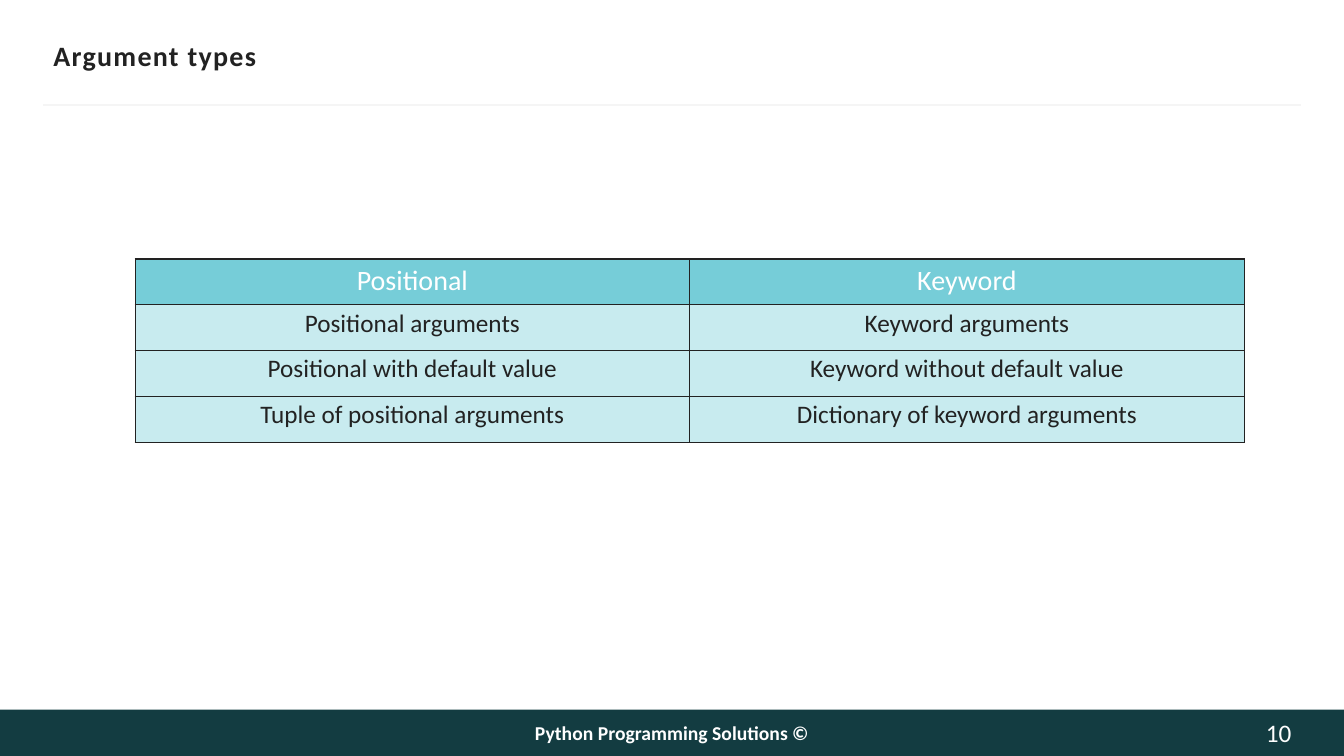
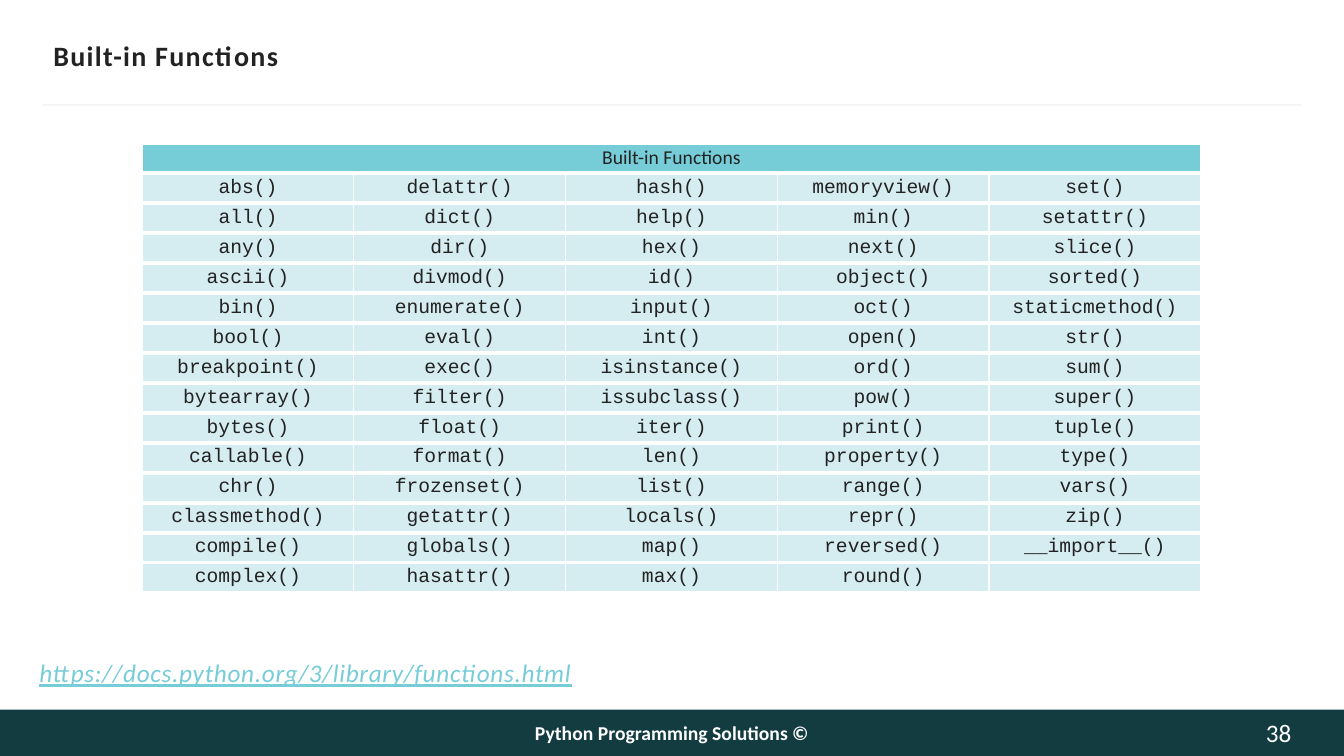
from dataclasses import dataclass
from itertools import zip_longest

from lxml import etree
from pptx import Presentation
from pptx import util as u
from pptx.dml import color
from pptx.enum import shapes, text
from pptx.oxml import ns

COLORS = {
    "ink": "222222",
    "white": "FFFFFF",
    "number": "FEFEFE",
    "band": "133C41",
    "rule": "F5F5F5",
    "accent": "76CDD8",
    "argument": "C8EBEF",
    "function": "D5ECF0",
}
FOOTER = "Python Programming Solutions ©"
BAND_TOP, BAND_HEIGHT = 7.04, 0.46
SLIDE_WIDTH = 13.33


@dataclass(frozen=True)
class Box:
    left: float
    top: float
    width: float
    height: float

    def lengths(self) -> tuple:
        return tuple(map(u.Inches, (self.left, self.top, self.width, self.height)))


@dataclass(frozen=True)
class TextStyle:
    size: float
    color: str = "ink"
    font: str = "Calibri"
    bold: bool = False
    italic: bool = False
    underline: bool = False
    spacing: float = 0
    align: text.PP_ALIGN = text.PP_ALIGN.LEFT
    line_spacing: float = 1.0


@dataclass(frozen=True)
class TableStyle:
    header: TextStyle
    body: TextStyle
    body_fill: str
    border_color: str
    side_width: float
    edge_width: float
    margins: tuple[float, float]
    anchor: text.MSO_ANCHOR


CENTER = text.PP_ALIGN.CENTER
TITLE = TextStyle(20, bold=True, spacing=0.9)
FOOTER_TEXT = TextStyle(14, "white", bold=True, align=CENTER)
NUMBER_TEXT = TextStyle(18, "number", align=text.PP_ALIGN.RIGHT)
LINK_TEXT = TextStyle(18, "accent", italic=True, underline=True, spacing=0.5)

ARGUMENT_TABLE = TableStyle(
    TextStyle(20, "white", align=CENTER),
    TextStyle(18, align=CENTER, line_spacing=0.9),
    "argument", "ink", 1, 1, (0.1, 0.05), text.MSO_ANCHOR.TOP,
)
FUNCTION_TABLE = TableStyle(
    TextStyle(14, align=CENTER),
    TextStyle(14, font="Courier New", align=CENTER),
    "function", "white", 0.96, 3, (0.08, 0.03), text.MSO_ANCHOR.MIDDLE,
)

ARGUMENT_ROWS = [
    ("Positional", "Keyword"),
    ("Positional arguments", "Keyword arguments"),
    ("Positional with default value", "Keyword without default value"),
    ("Tuple of positional arguments", "Dictionary of keyword arguments"),
]
FUNCTION_COLUMNS = [
    "abs all any ascii bin bool breakpoint bytearray bytes callable chr "
    "classmethod compile complex",
    "delattr dict dir divmod enumerate eval exec filter float format frozenset "
    "getattr globals hasattr",
    "hash help hex id input int isinstance issubclass iter len list locals map max",
    "memoryview min next object oct open ord pow print property range repr "
    "reversed round",
    "set setattr slice sorted staticmethod str sum super tuple type vars zip "
    "__import__",
]


def rgb(name: str) -> color.RGBColor:
    return color.RGBColor.from_string(COLORS[name])


def write(frame, content: str, style: TextStyle) -> None:
    """Fill a text frame with one formatted paragraph."""
    frame.text = content
    paragraph = frame.paragraphs[0]
    paragraph.alignment = style.align
    paragraph.line_spacing = style.line_spacing
    for run in paragraph.runs:
        font = run.font
        font.name, font.size = style.font, u.Pt(style.size)
        font.bold, font.italic = style.bold, style.italic
        font.underline = style.underline
        font.color.rgb = rgb(style.color)
        if style.spacing:
            font._element.set("spc", str(round(style.spacing * 100)))
    if not content:  # an empty cell keeps the height of its neighbours
        end = etree.SubElement(paragraph._p, ns.qn("a:endParaRPr"))
        end.set("sz", str(round(style.size * 100)))


def format_frame(frame, side: float, edge: float) -> None:
    frame.word_wrap = True
    frame.auto_size = text.MSO_AUTO_SIZE.NONE
    frame.vertical_anchor = text.MSO_ANCHOR.MIDDLE
    frame.margin_left = frame.margin_right = u.Inches(side)
    frame.margin_top = frame.margin_bottom = u.Inches(edge)


def add_text(slide, box: Box, content: str, style: TextStyle,
             side: float = 0, edge: float = 0.05) -> None:
    frame = slide.shapes.add_textbox(*box.lengths()).text_frame
    format_frame(frame, side, edge)
    write(frame, content, style)


def add_border(cell, side: str, color_name: str, width: float) -> None:
    properties = cell._tc.get_or_add_tcPr()
    line = etree.SubElement(properties, ns.qn(f"a:ln{side}"), w=str(u.Pt(width)))
    fill = etree.SubElement(line, ns.qn("a:solidFill"))
    etree.SubElement(fill, ns.qn("a:srgbClr"), val=COLORS[color_name])


def add_grid(slide, box: Box, rows: list, style: TableStyle) -> None:
    """Draw a table of equal cells; a lone header spans all columns."""
    column_count = max(map(len, rows))
    table = slide.shapes.add_table(len(rows), column_count, *box.lengths()).table
    table.first_row = table.horz_banding = False
    for column in table.columns:
        column.width = u.Inches(box.width / column_count)
    for row in table.rows:
        row.height = u.Inches(box.height / len(rows))

    for row_index, values in enumerate(rows):
        is_header = row_index == 0
        for column_index in range(column_count):
            cell = table.cell(row_index, column_index)
            for side in "LRTB":
                width = style.side_width if side in "LR" else style.edge_width
                add_border(cell, side, style.border_color, width)
            cell.fill.solid()
            cell.fill.fore_color.rgb = rgb("accent" if is_header else style.body_fill)
            cell.vertical_anchor = style.anchor
            cell.margin_left = cell.margin_right = u.Inches(style.margins[0])
            cell.margin_top = cell.margin_bottom = u.Inches(style.margins[1])
            content = values[column_index] if column_index < len(values) else ""
            write(cell.text_frame, content, style.header if is_header else style.body)
    if len(rows[0]) == 1:
        table.cell(0, 0).merge(table.cell(0, column_count - 1))


def add_base_slide(presentation, title: str, number: int):
    """Add a slide with the shared title, rule, band and footer."""
    slide = presentation.slides.add_slide(presentation.slide_layouts[5])

    # Title
    heading = slide.shapes.title
    heading.left, heading.top, heading.width, heading.height = Box(
        0.53, 0.33, 12.28, 0.43).lengths()
    format_frame(heading.text_frame, 0, 0.05)
    write(heading.text_frame, title, TITLE)

    # Rule below the title
    rule = slide.shapes.add_connector(
        shapes.MSO_CONNECTOR.STRAIGHT,
        u.Inches(0.43), u.Inches(1.04), u.Inches(12.9), u.Inches(1.04))
    rule.line.color.rgb = rgb("rule")
    rule.line.width = u.Pt(1.5)
    etree.SubElement(rule._element.spPr, ns.qn("a:effectLst"))

    # Footer band
    band = slide.shapes.add_shape(
        shapes.MSO_SHAPE.RECTANGLE,
        *Box(0, BAND_TOP, SLIDE_WIDTH, BAND_HEIGHT).lengths())
    band.shadow.inherit = False
    band.fill.solid()
    band.fill.fore_color.rgb = rgb("band")
    band.line.fill.background()
    add_text(slide, Box(3.5, BAND_TOP, 6.33, 0.45), FOOTER, FOOTER_TEXT, side=0.1)
    add_text(slide, Box(12.15, BAND_TOP, 0.66, BAND_HEIGHT), str(number),
             NUMBER_TEXT, edge=0)
    return slide


def main() -> None:
    presentation = Presentation()
    presentation.slide_width = u.Inches(SLIDE_WIDTH)
    presentation.slide_height = u.Inches(7.5)

    # Argument types
    slide = add_base_slide(presentation, "Argument types", 10)
    add_grid(slide, Box(1.34, 2.57, 11, 1.82), ARGUMENT_ROWS, ARGUMENT_TABLE)

    # Built-in functions
    slide = add_base_slide(presentation, "Built-in Functions", 38)
    add_text(slide, Box(0.39, 6.46, 12.28, 0.43),
             "https://docs.python.org/3/library/functions.html", LINK_TEXT)
    columns = [[f"{name}()" for name in names.split()] for names in FUNCTION_COLUMNS]
    rows = [("Built-in Functions",), *zip_longest(*columns, fillvalue="")]
    add_grid(slide, Box(1.41, 1.42, 10.5, 4.46), rows, FUNCTION_TABLE)

    presentation.save("out.pptx")


if __name__ == "__main__":
    main()
